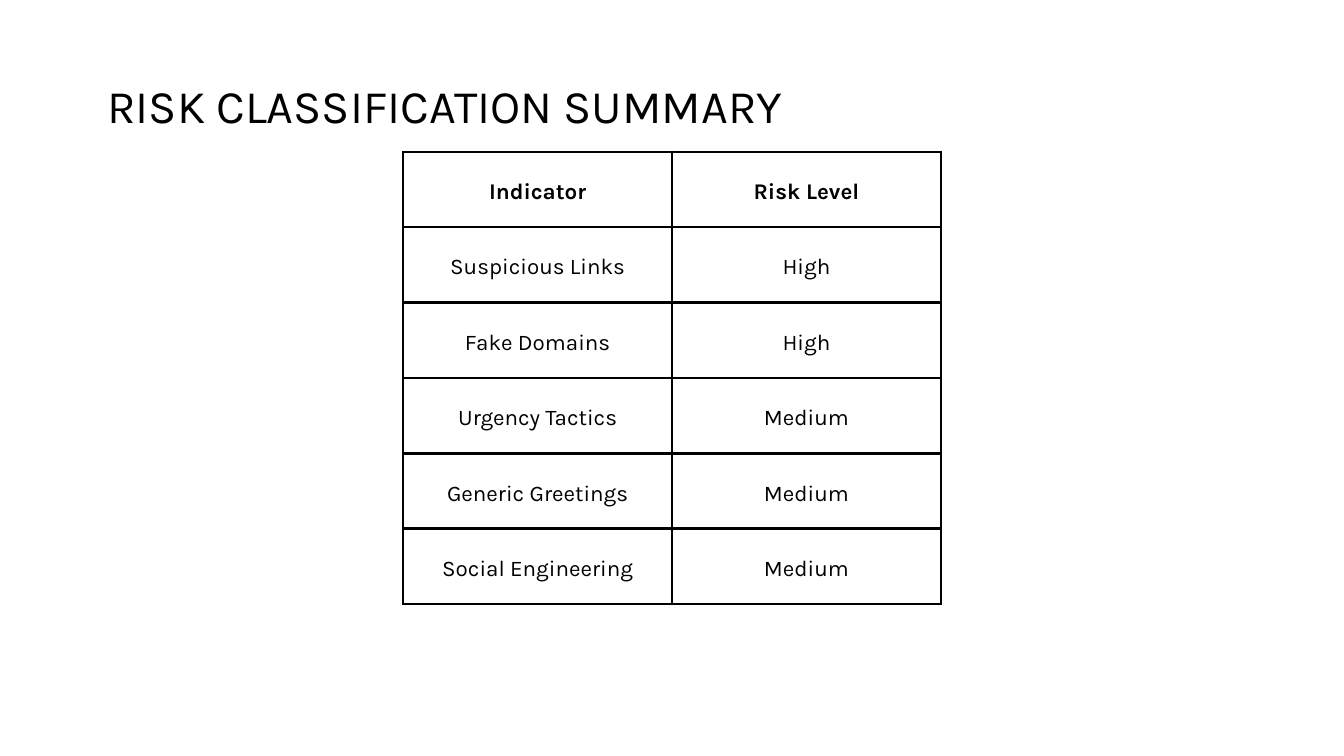
from lxml.etree import SubElement
from pptx import Presentation
from pptx.dml.color import RGBColor
from pptx.enum.text import MSO_ANCHOR as Anchor, MSO_AUTO_SIZE as AutoSize, PP_ALIGN as Align
from pptx.oxml import parse_xml
from pptx.oxml.ns import nsdecls, qn
from pptx.util import Pt

TITLE = "RISK CLASSIFICATION SUMMARY"
ROWS = [
    ("Indicator", "Risk Level"),
    ("Suspicious Links", "High"),
    ("Fake Domains", "High"),
    ("Urgency Tactics", "Medium"),
    ("Generic Greetings", "Medium"),
    ("Social Engineering", "Medium"),
]

PX = 9525  # EMU per px, 96 px to the inch
SLIDE_W, SLIDE_H = 1920, 1080
TITLE_BOX = (108, 97, 1056, 90)
TABLE_BOX = (576, 217, 768, 646)
CELL_MARGIN = 20
BORDER_PT = 3
FONT = "Karla"
BLACK = RGBColor(0, 0, 0)
WHITE = RGBColor(255, 255, 255)


def px(*values):
    return [v * PX for v in values]


def write(tf, text, size, leading, bold=False, margin=0):
    p = tf.paragraphs[0]
    p.alignment = Align.CENTER
    p.line_spacing = Pt(leading)
    p.space_before = Pt(0)
    r = p.add_run()
    r.text = text
    r.font.name = FONT
    r.font.size = Pt(size)
    r.font.bold = bold
    r.font.color.rgb = BLACK


def set_margins(box, margin):
    box.margin_left = box.margin_right = margin * PX
    box.margin_top = box.margin_bottom = margin * PX


def add_borders(cell):
    tc_pr = cell._tc.get_or_add_tcPr()
    for i, side in enumerate(("lnL", "lnR", "lnT", "lnB")):
        ln = parse_xml(f'<a:{side} {nsdecls("a")} w="{Pt(BORDER_PT)}"/>')
        fill = SubElement(ln, qn("a:solidFill"))
        SubElement(fill, qn("a:srgbClr"), val=str(BLACK))
        tc_pr.insert(i, ln)


def add_risk_table(slide):
    n_rows, n_cols = len(ROWS), len(ROWS[0])
    left, top, width, height = px(*TABLE_BOX)
    table = slide.shapes.add_table(n_rows, n_cols, left, top, width, height).table
    for row in table.rows:
        row.height = height // n_rows
    for i, texts in enumerate(ROWS):
        for j, text in enumerate(texts):
            cell = table.cell(i, j)
            cell.fill.solid()
            cell.fill.fore_color.rgb = WHITE
            cell.vertical_anchor = Anchor.MIDDLE
            set_margins(cell, CELL_MARGIN)
            add_borders(cell)
            write(cell.text_frame, text, 24, 33.6, bold=i == 0)


def set_title(slide):
    s = slide.shapes.title
    s.left, s.top, s.width, s.height = px(*TITLE_BOX)
    tf = s.text_frame
    tf.word_wrap = True
    tf.auto_size = AutoSize.SHAPE_TO_FIT_TEXT
    tf.vertical_anchor = Anchor.TOP
    set_margins(tf, 0)
    write(tf, TITLE, 50, 70)


def main():
    prs = Presentation()
    prs.slide_width, prs.slide_height = px(SLIDE_W, SLIDE_H)
    slide = prs.slides.add_slide(prs.slide_layouts[5])
    slide.background.fill.solid()
    slide.background.fill.fore_color.rgb = WHITE
    set_title(slide)
    add_risk_table(slide)
    prs.save("out.pptx")


if __name__ == "__main__":
    main()
